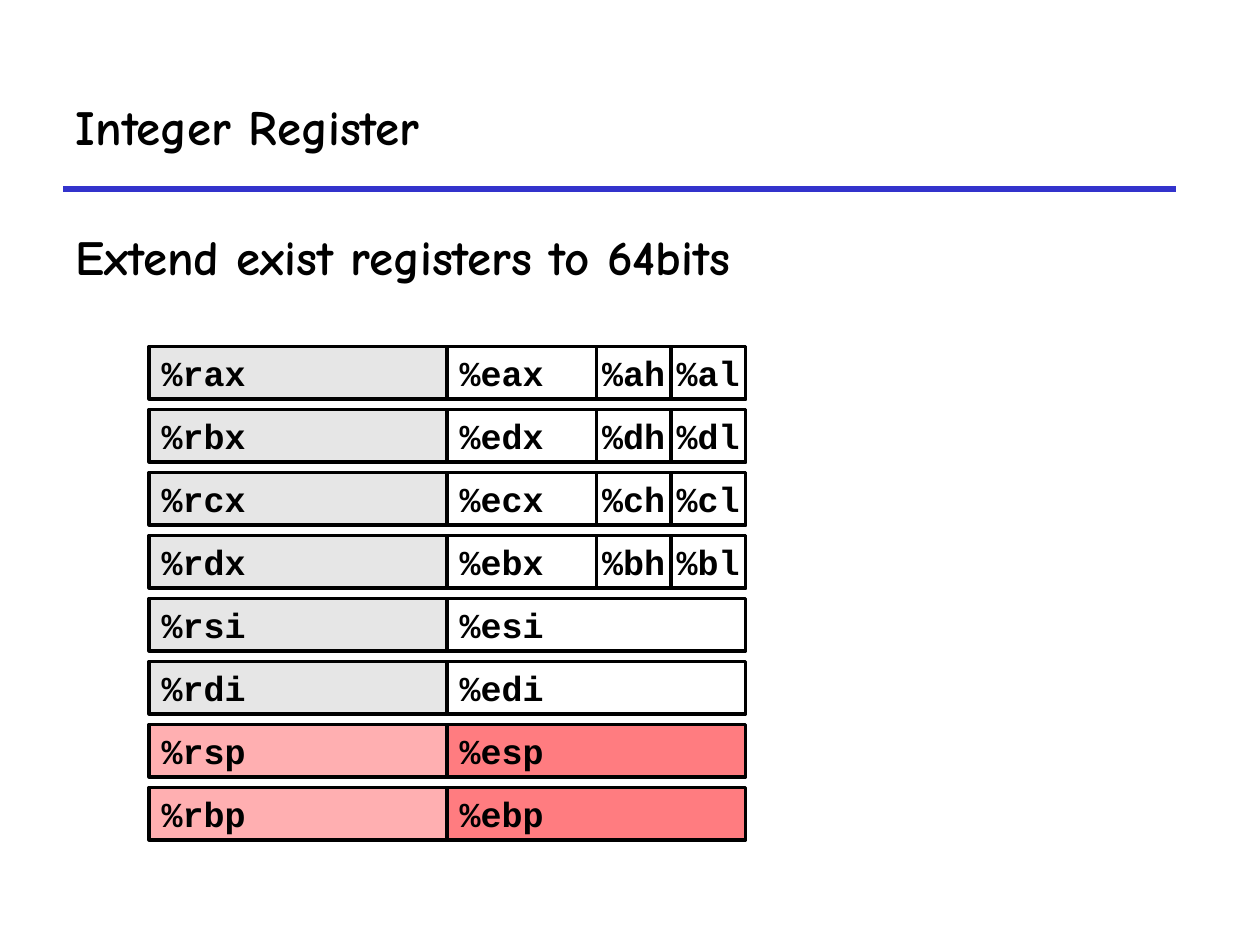
from pptx import Presentation, util as u
from pptx.dml.color import RGBColor
from pptx.enum import shapes, text
from pptx.oxml.ns import qn
from lxml import etree

BLACK = RGBColor(0x00, 0x00, 0x00)
WHITE = RGBColor(0xFF, 0xFF, 0xFF)
BLUE = RGBColor(0x33, 0x33, 0xCC)
GRAY = RGBColor(0xE6, 0xE6, 0xE6)
PINK = RGBColor(0xFF, 0xAF, 0xB1)
RED = RGBColor(0xFF, 0x7C, 0x80)

# Grid: half-inch rows, and columns one byte wide
ROW = u.Inches(0.5)
COL = u.Inches(7.1) / 12

# 64-bit name, 32-bit name, high byte and low byte
REGS = [
    ("%rax", "%eax", "%ah", "%al"),
    ("%rbx", "%edx", "%dh", "%dl"),
    ("%rcx", "%ecx", "%ch", "%cl"),
    ("%rdx", "%ebx", "%bh", "%bl"),
    ("%rsi", "%esi"),
    ("%rdi", "%edi"),
    ("%rsp", "%esp"),
    ("%rbp", "%ebp"),
]
STACK = ("%rsp", "%rbp")


def write(frame, words, font, size, align=text.PP_ALIGN.LEFT):
    frame.word_wrap = True
    para = frame.paragraphs[0]
    para.alignment = align
    run = para.add_run()
    run.text = words
    run.font.name = font
    run.font.size = u.Pt(size)
    run.font.bold = True
    run.font.color.rgb = BLACK


def header(slide, left, top, width, height):
    title = slide.shapes.title
    title.left, title.top, title.width, title.height = left, top, width, height
    title.text_frame.vertical_anchor = text.MSO_ANCHOR.MIDDLE
    write(title.text_frame, "Integer Register", "Comic Neue", 28)
    # Rule under the title
    base = top + height
    rule = slide.shapes.add_connector(
        shapes.MSO_CONNECTOR.STRAIGHT, left, base, left + width, base)
    rule.line.color.rgb = BLUE
    rule.line.width = u.Pt(3)
    etree.SubElement(rule.element.spPr, qn("a:effectLst"))


def lead(slide, left, top, width, height):
    box = slide.shapes.add_textbox(left, top, width, height)
    write(box.text_frame, "Extend exist registers to 64bits", "Comic Neue", 28)


def cell(slide, name, left, top, width, height, fill, byte=False):
    box = slide.shapes.add_shape(
        shapes.MSO_SHAPE.RECTANGLE, int(left), int(top), int(width), int(height))
    box.shadow.inherit = False
    box.fill.solid()
    box.fill.fore_color.rgb = fill
    box.line.color.rgb = BLACK
    box.line.width = u.Pt(2)
    frame = box.text_frame
    frame.vertical_anchor = text.MSO_ANCHOR.MIDDLE
    if byte:
        frame.margin_left = frame.margin_right = 0
        frame.margin_top = frame.margin_bottom = 0
    align = text.PP_ALIGN.CENTER if byte else text.PP_ALIGN.LEFT
    write(frame, name, "Courier New", 20, align)


def registers(slide, left, top, width, height):
    step = height / len(REGS)
    tall = step * 5 / 6
    half, part = width / 2, width / 8
    for i, (wide, low, *parts) in enumerate(REGS):
        y = top + i * step
        dark, light = (PINK, RED) if wide in STACK else (GRAY, WHITE)
        cell(slide, wide, left, y, half, tall, dark)
        cell(slide, low, left + half, y, half, tall, light)
        # High and low bytes fill the right-hand quarter
        for j, name in enumerate(parts):
            cell(slide, name, left + (6 + j) * part, y, part, tall, WHITE, True)


def main():
    deck = Presentation()
    deck.slide_width, deck.slide_height = 20 * ROW, 15 * ROW
    slide = deck.slides.add_slide(deck.slide_layouts[5])
    header(slide, ROW, ROW, u.Inches(8.83), 2 * ROW)
    lead(slide, ROW, u.Inches(1.75), u.Inches(9.08), u.Inches(0.83))
    registers(slide, 2 * COL, 5.5 * ROW, 8 * COL, len(REGS) * ROW)
    deck.save("out.pptx")


if __name__ == "__main__":
    main()
